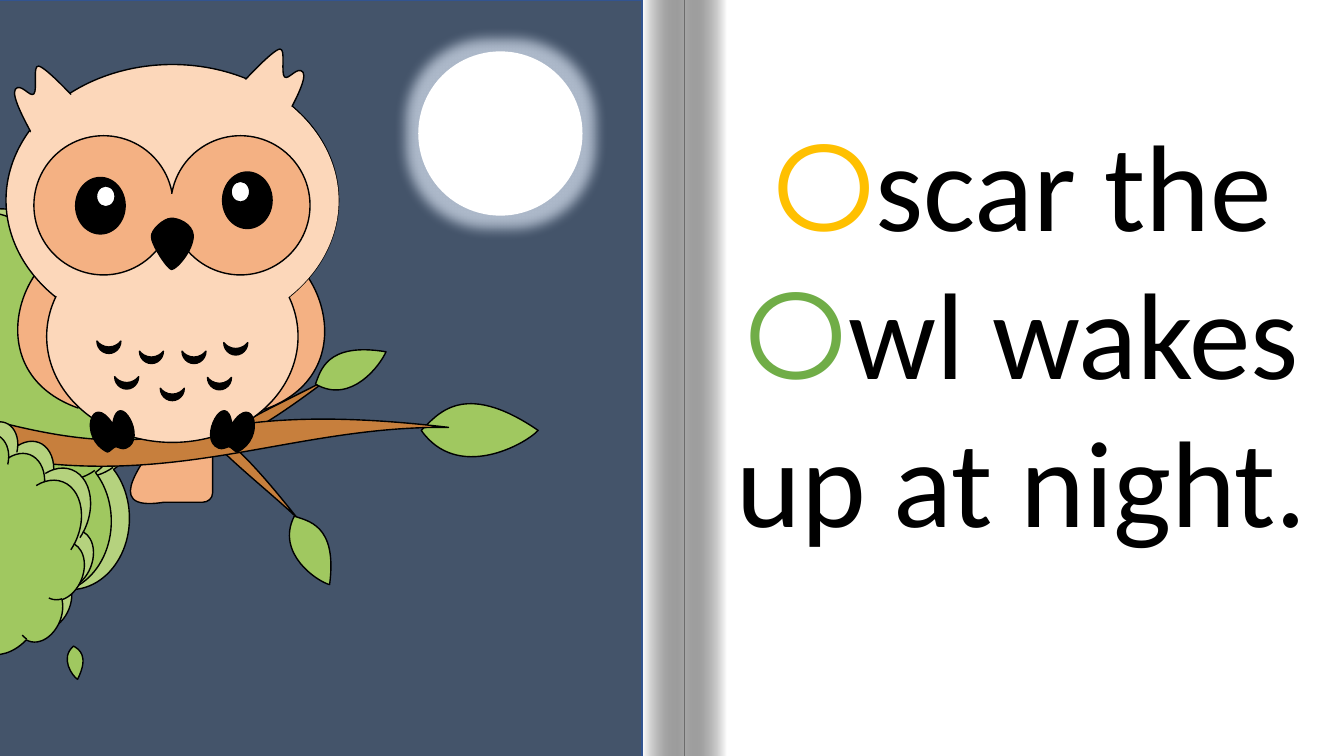
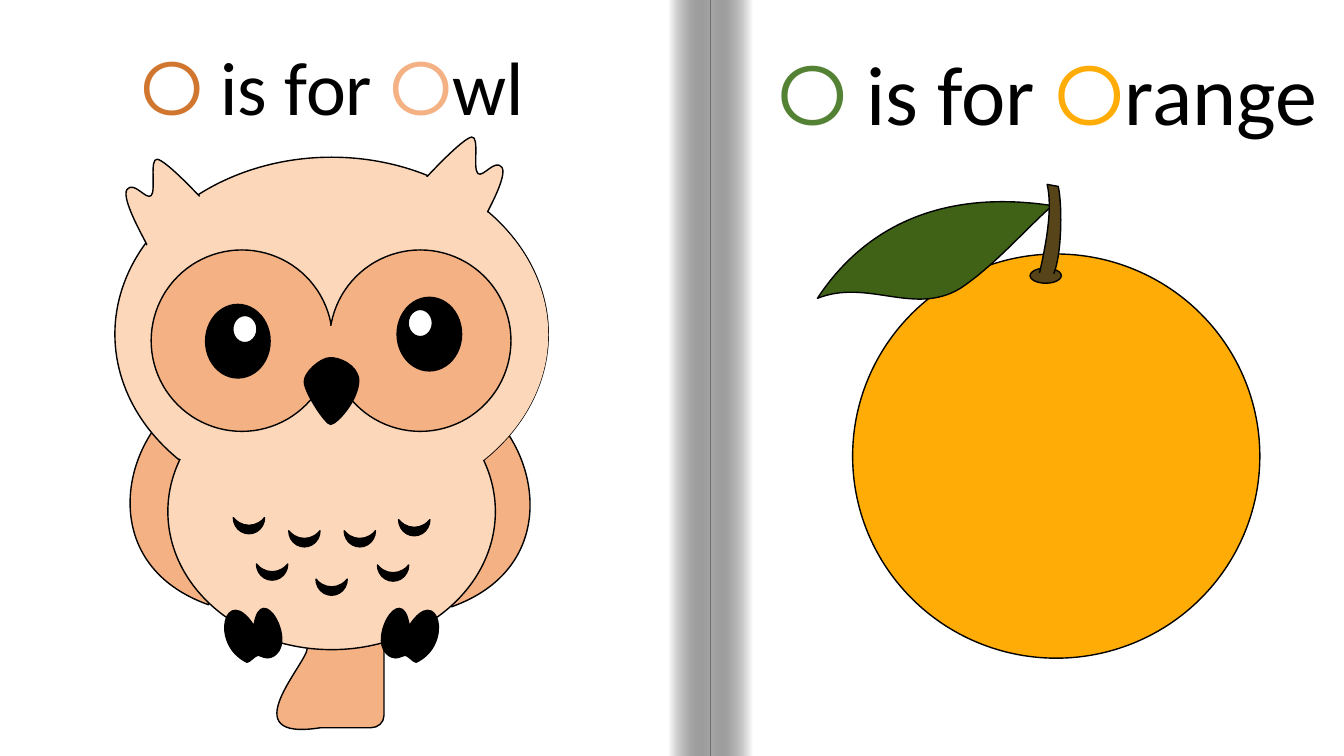
from dataclasses import dataclass

from lxml import etree
from pptx import Presentation
from pptx.dml.color import RGBColor
from pptx.enum.shapes import MSO_SHAPE
from pptx.enum.text import MSO_AUTO_SIZE, PP_ALIGN
from pptx.oxml.ns import qn
from pptx.util import Cm, Pt


@dataclass(frozen=True)
class Theme:
    white: str = "FFFFFF"
    black: str = "000000"
    sky: str = "44546A"
    sky_edge: str = "325491"
    glow: str = "ADB9CA"
    feather: str = "FCD7BA"
    wing: str = "F4B183"
    wood: str = "C77F3D"
    leaf: str = "A0C860"
    pale_leaf: str = "B5D27E"
    orange: str = "FFAC06"
    orange_leaf: str = "406216"
    stem: str = "574519"
    gold: str = "FFC000"
    green: str = "70AD47"
    dark_green: str = "548235"
    rust: str = "D1762F"
    body_font: str = "Calibri"
    letter_font: str = "Montserrat"
    story_size: int = 88
    orange_size: int = 60
    owl_size: int = 54
    line: int = 1
    unit: float = 2.54
    width: float = 33.87 / 2.54
    height: float = 7.5


T = Theme()


def bezier(a, b, c, d, steps=20):
    for i in range(1, steps + 1):
        t = i / steps
        u = 1 - t
        yield tuple(
            u**3 * p + 3 * u * u * t * q + 3 * u * t * t * r + t**3 * s
            for p, q, r, s in zip(a, b, c, d)
        )


class Book:
    def __init__(self):
        self.prs = Presentation()
        self.prs.slide_width = Cm(T.unit * T.width)
        self.prs.slide_height = Cm(T.unit * T.height)
        self.frame()

    def frame(self, left=0, top=0, scale=1):
        self.left, self.top, self.scale = left, top, scale

    def point(self, x, y):
        return (Cm(T.unit * (self.left + self.scale * x)),
                Cm(T.unit * (self.top + self.scale * y)))

    def box(self, x, y, w, h):
        return (*self.point(x, y), Cm(T.unit * self.scale * w), Cm(T.unit * self.scale * h))

    def page(self, spine):
        self.s = self.prs.slides.add_slide(self.prs.slide_layouts[6])
        fill = self.s.background.fill
        fill.solid()
        fill.fore_color.rgb = RGBColor.from_string(T.black)
        self.shape(MSO_SHAPE.RECTANGLE, (0, 0, T.width, T.height), T.white, None)
        fold = 0.42
        self.fold((spine, 0, fold, T.height))
        self.fold((spine - fold, 0, fold, T.height), flip=True)

    def fold(self, box, flip=False):
        sp = self.shape(MSO_SHAPE.RECTANGLE, box, T.white, None, flip=flip)
        sp.fill.gradient()
        sp.fill.gradient_angle = 180
        for stop, color, position in zip(sp.fill.gradient_stops, (T.white, T.black), (0, 1)):
            stop.color.rgb = RGBColor.from_string(color)
            stop.position = position
        dark = sp.element.spPr.findall(".//" + qn("a:srgbClr"))[-1]
        etree.SubElement(dark, qn("a:alpha"), val="34000")

    def paint(self, sp, fill, line):
        sp.shadow.inherit = False
        sp.fill.solid()
        sp.fill.fore_color.rgb = RGBColor.from_string(fill)
        if line:
            sp.line.color.rgb = RGBColor.from_string(line)
            sp.line.width = Pt(T.line)
        else:
            sp.line.fill.background()
        return sp

    def shape(self, kind, box, fill, line=T.black, rotation=0, flip=False):
        sp = self.s.shapes.add_shape(kind, *self.box(*box))
        sp.rotation = rotation
        if flip:
            sp.element.spPr.xfrm.set("flipH", "1")
        return self.paint(sp, fill, line)

    def ellipse(self, box, fill, line=T.black, rotation=0):
        return self.shape(MSO_SHAPE.OVAL, box, fill, line, rotation)

    def cloud(self, box, fill, rotation=0):
        return self.shape(MSO_SHAPE.CLOUD, box, fill, rotation=rotation, flip=True)

    def outline(self, fill, start, *segments, close=True, mirror=None, drop=0):
        def place(x, y):
            return self.point(mirror - x, y + drop) if mirror else self.point(x, y)

        knots = [[place(*xy) for xy in zip(seg[::2], seg[1::2])] for seg in (start, *segments)]
        trace = [knots[0][0]]
        for seg in knots[1:]:
            trace.extend(seg if len(seg) == 1 else bezier(trace[-1], *seg))
        builder = self.s.shapes.build_freeform(*trace[0])
        builder.add_line_segments(trace[1:], close=close)
        sp = builder.convert_to_shape()
        path = sp.element.spPr.find(".//" + qn("a:path"))
        for child in list(path):
            path.remove(child)
        for i, seg in enumerate(knots):
            tag = "a:cubicBezTo" if len(seg) == 3 else "a:lnTo" if i else "a:moveTo"
            step = etree.SubElement(path, qn(tag))
            for x, y in seg:
                etree.SubElement(step, qn("a:pt"), x=str(x - sp.left), y=str(y - sp.top))
        if close:
            etree.SubElement(path, qn("a:close"))
        return self.paint(sp, fill, T.black)

    def pair(self, fill, *points, mirror, drop=0, close=True):
        for axis in (None, mirror):
            self.outline(fill, *points, close=close, mirror=axis, drop=drop)

    def caption(self, box, size, *pieces):
        tb = self.s.shapes.add_textbox(*self.box(*box))
        tf = tb.text_frame
        tf.word_wrap = True
        tf.auto_size = MSO_AUTO_SIZE.SHAPE_TO_FIT_TEXT
        p = tf.paragraphs[0]
        p.alignment = PP_ALIGN.CENTER
        for text, color in pieces:
            r = p.add_run()
            r.text = text
            r.font.size = Pt(size)
            r.font.name = T.letter_font if color else T.body_font
            r.font.color.rgb = RGBColor.from_string(color or T.black)

    def owl_tail(self):
        self.outline(
            T.wing, (3.05, 6.43),
            (3.05, 6.36, 3.11, 6.3, 3.18, 6.3), (3.68, 6.3),
            (3.75, 6.3, 3.81, 6.36, 3.81, 6.43), (3.81, 7.1),
            (3.81, 7.17, 3.75, 7.22, 3.68, 7.22), (3.18, 7.22),
            (2.29, 7.36, 3.05, 6.58, 3.05, 6.43),
        )

    def owl(self):
        self.pair(T.wing, (2.07, 6), (2.07, 3.86), (1.29, 4.05, 0.8, 5.55, 2.07, 6),
                  mirror=6.55, drop=0.02)
        self.ellipse((1.14, 1.56, 4.3, 3.51), T.feather)
        self.ellipse((1.92, 3.45, 2.74, 3.25), T.feather, rotation=90)
        self.pair(
            T.black, (2.69, 6.52),
            (2.98, 6.41, 2.59, 5.72, 2.52, 6.21), (2.24, 5.77, 2.07, 6.39, 2.45, 6.57),
            (2.48, 6.57, 2.52, 6.51, 2.56, 6.5), (2.6, 6.51, 2.64, 6.54, 2.69, 6.52),
            mirror=6.58,
        )
        for x, y in (
            (3.49, 5.19), (2.94, 5.19), (2.39, 5.06), (2.62, 4.68), (3.21, 4.79),
            (3.82, 4.68), (4.03, 5.08), (3.82, 5.53), (3.21, 5.67), (2.62, 5.52),
        ):
            mark = self.shape(MSO_SHAPE.MOON, (x, y, 0.16, 0.31), T.black, rotation=270)
            mark.adjustments[0] = 0.52
        self.pair(
            T.feather, (1.48, 2.47),
            (1.42, 2.35, 1.2, 1.97, 1.26, 1.88), (1.33, 1.79, 1.45, 1.99, 1.5, 1.94),
            (1.55, 1.89, 1.48, 1.57, 1.56, 1.58), (1.65, 1.59, 2.01, 1.98, 2.01, 1.98),
            (2.01, 1.98), mirror=6.24, drop=-0.22, close=False,
        )
        self.ellipse((1.16, 1.58, 4.28, 3.48), T.feather, None)
        for x in (1.5, 3.27):
            self.ellipse((x, 2.48, 1.8, 1.8), T.wing)
        for x, y, glint_x, glint_y in ((2.04, 3.02, 2.31, 3.13), (3.94, 2.95, 4.05, 3.07)):
            self.ellipse((x, y, 0.64, 0.73), T.black)
            self.ellipse((glint_x, glint_y, 0.24, 0.27), T.white)
        self.ellipse((3.18, 3.23, 0.24, 0.42), T.wing, None)
        self.outline(
            T.black, (3.02, 3.79),
            (3.01, 3.7, 3.18, 3.55, 3.27, 3.55), (3.36, 3.54, 3.55, 3.62, 3.56, 3.77),
            (3.56, 3.97, 3.34, 4.21, 3.28, 4.21), (3.23, 4.21, 3.02, 3.89, 3.02, 3.79),
        )

    def branch(self):
        for fill, *points in (
            (T.wood, (3.27, 3.75), (2.98, 3.91, 2.48, 4.13, 2.27, 4.29),
             (2.28, 4.3, 2.33, 4.33, 2.34, 4.34), (2.6, 4.26, 3.12, 3.86, 3.27, 3.75)),
            (T.wood, (2.95, 5.14), (2.71, 4.91, 2.28, 4.57, 2.11, 4.37),
             (2.12, 4.36, 2.18, 4.35, 2.19, 4.33), (2.43, 4.48, 2.83, 4.99, 2.95, 5.14)),
            (T.leaf, (5.34, 4.27), (4.58, 3.75, 4.33, 4.13, 4.18, 4.27),
             (4.54, 4.78, 5.21, 4.41, 5.34, 4.27)),
            (T.wood, (4.45, 4.24), (1.22, 3.86, 2.16, 4.99, -1.23, 3.81),
             (-1.23, 3.94, -1.18, 4.06, -1.22, 4.19), (1.32, 5.15, 2.56, 4.22, 4.45, 4.24)),
            (T.leaf, (3.27, 5.8), (3.35, 5.2, 3.05, 5.17, 2.92, 5.12),
             (2.73, 5.49, 3.15, 5.77, 3.27, 5.8)),
            (T.leaf, (3.83, 3.49), (3.23, 3.39, 3.18, 3.69, 3.13, 3.81),
             (3.49, 4.02, 3.78, 3.61, 3.83, 3.49)),
        ):
            self.outline(fill, *points)

    def full_moon(self):
        box = (4.15, 0.51, 1.63, 1.63)
        moon = self.shape(MSO_SHAPE.FLOWCHART_CONNECTOR, box, T.white, None)
        effects = moon.element.spPr.find(qn("a:effectLst"))
        glow = etree.SubElement(effects, qn("a:glow"), rad=str(Pt(18)))
        etree.SubElement(glow, qn("a:srgbClr"), val=T.glow)

    def orange(self):
        self.ellipse((8.46, 2.52, 4.04, 4.01), T.orange)
        self.outline(
            T.orange_leaf, (8.11, 2.96), (8.81, 1.9, 9.91, 1.96, 10.44, 2.04),
            (10.14, 2.31, 9.86, 2.64, 9.53, 2.86), (9.07, 3.14, 8.61, 2.76, 8.11, 2.96),
        )
        self.ellipse((10.22, 2.66, 0.31, 0.15), T.stem)
        self.outline(
            T.stem, (10.39, 1.83), (10.5, 1.85), (10.54, 2.02, 10.54, 2.53, 10.45, 2.73),
            (10.31, 2.73), (10.37, 2.46, 10.45, 2.08, 10.39, 1.83),
        )
        self.ellipse((10.28, 2.7, 0.19, 0.07), T.stem, None)


def night_page(book):
    scale = 3.3 / 4.3
    perch = (0.06 - 1.14 * scale, 0.64 - 1.56 * scale, scale)
    book.page(6.79)
    book.shape(MSO_SHAPE.RECTANGLE, (-0.29, 0, 6.66, 7.75), T.sky, T.sky_edge, flip=True)
    book.frame(*perch)
    book.owl_tail()
    book.frame()
    book.caption((7, 1.03, 6.28, 4.54), T.story_size, ("O", T.gold), ("scar the ", None),
                 ("O", T.green), ("wl wakes up at night.", None))
    book.cloud((-4.37, 1.6, 5.78, 5.17), T.pale_leaf)
    book.cloud((-4.55, 1.63, 5.78, 5.17), T.leaf)
    book.outline(T.leaf, (0.77, 6.74), (0.89, 6.5, 0.78, 6.44, 0.73, 6.41),
                 (0.59, 6.53, 0.72, 6.71, 0.77, 6.74))
    book.branch()
    book.cloud((-1.19, 4.2, 2.14, 2.18), T.pale_leaf, 21.5)
    book.cloud((-1.28, 4.32, 2.14, 2.18), T.leaf, 21.5)
    star_box = (0.89, 0.92, 0.41, 0.41)
    star = book.shape(MSO_SHAPE.STAR_5_POINT, star_box, T.white, None, flip=True)
    star.adjustments[0] = 0.1
    book.frame(*perch)
    book.owl()
    book.frame()
    book.full_moon()


def letter_page(book):
    book.page(7.05)
    book.caption((7.38, 0.36, 6.02, 1.11), T.orange_size, ("O", T.dark_green),
                 (" is for ", None), ("O", T.orange), ("range", None))
    book.caption((0.04, 0.35, 6.68, 1.01), T.owl_size, ("O", T.rust),
                 (" is for ", None), ("O", T.wing), ("wl ", None))
    book.owl_tail()
    book.owl()
    book.orange()


def main():
    book = Book()
    night_page(book)
    letter_page(book)
    book.prs.save("out.pptx")


if __name__ == "__main__":
    main()
